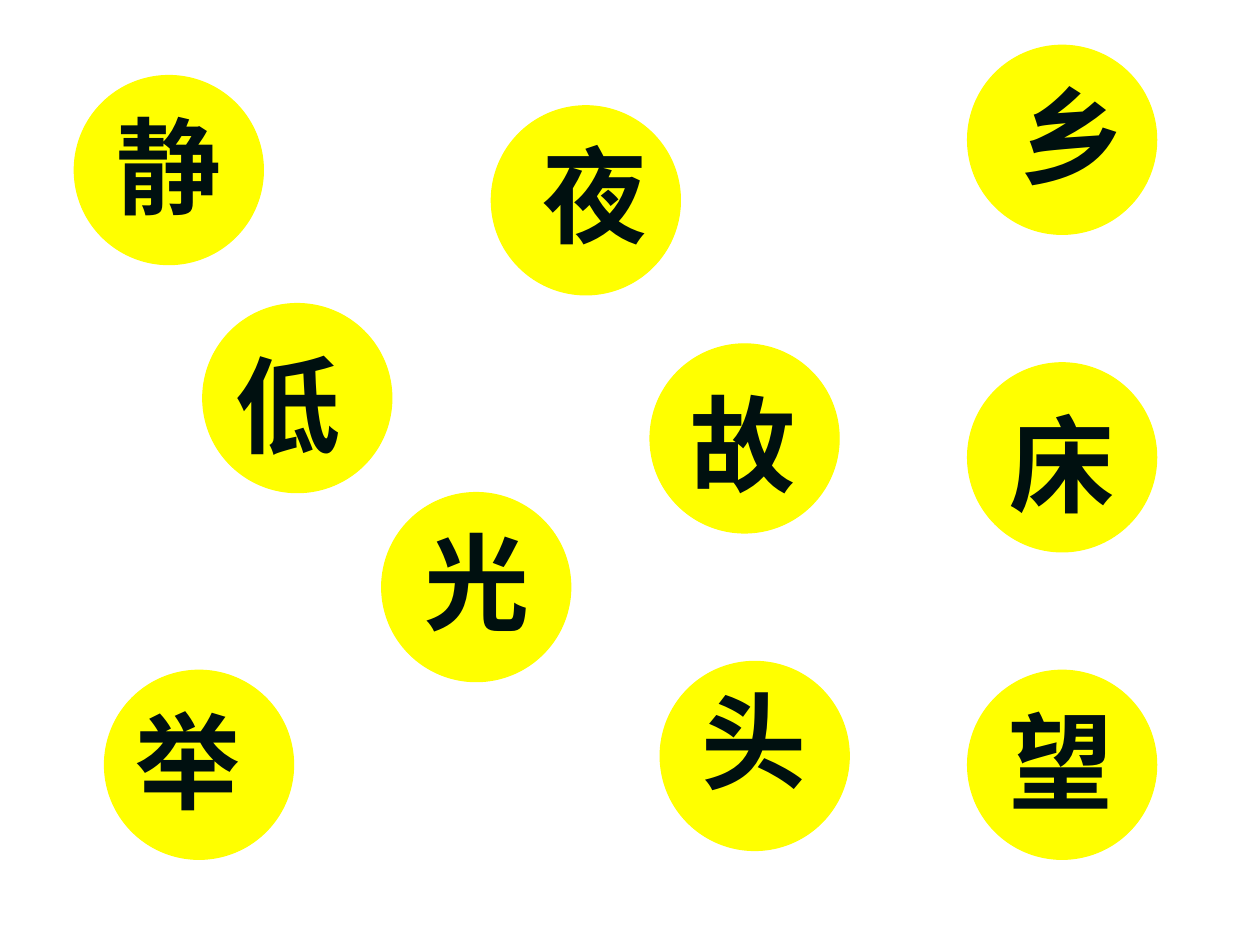
from dataclasses import dataclass

from pptx import Presentation
from pptx.dml.color import RGBColor as RGB
from pptx.enum.shapes import MSO_SHAPE as Shape
from pptx.enum.text import MSO_AUTO_SIZE as AutoSize, PP_ALIGN as Align
from pptx.util import Inches, Pt


@dataclass(frozen=True)
class Theme:
    disc: RGB = RGB(0xFF, 0xFF, 0x00)
    ink: RGB = RGB(0x00, 0x10, 0x10)
    font: str = "Arial"
    size: int = 60
    line: float = 0.75


class Deck:
    """Draws styled elements on the current slide."""

    def __init__(self, slide, theme):
        self.s = slide
        self.theme = theme

    def disc(self, x, y, d=1.5):
        sp = self.s.shapes.add_shape(
            Shape.OVAL, Inches(x), Inches(y), Inches(d), Inches(d))
        sp.shadow.inherit = False
        sp.fill.solid()
        sp.fill.fore_color.rgb = self.theme.disc
        sp.line.color.rgb = self.theme.disc
        sp.line.width = Pt(self.theme.line)

    def character(self, text, x, y, w, h=1.1):
        sp = self.s.shapes.add_textbox(Inches(x), Inches(y), Inches(w), Inches(h))
        tf = sp.text_frame
        tf.word_wrap = True
        tf.auto_size = AutoSize.SHAPE_TO_FIT_TEXT
        tf.text = text
        p = tf.paragraphs[0]
        p.alignment = Align.CENTER
        font = p.runs[0].font
        font.name = self.theme.font
        font.size = Pt(self.theme.size)
        font.bold = True
        font.color.rgb = self.theme.ink


CHARACTERS = [
    ("静", (0.59, 0.6), (0.83, 0.76, 1.02)),
    ("夜", (3.9, 0.84), (4.21, 0.99, 0.87)),
    ("床", (7.68, 2.88), (7.91, 3.12, 0.95)),
    ("光", (3.03, 3.91), (3.27, 4.06, 0.94)),
    ("举", (0.83, 5.32), (0.98, 5.48, 0.94)),
    ("头", (5.24, 5.25), (5.47, 5.32, 1.02)),
    ("望", (7.68, 5.32), (7.91, 5.48, 0.94)),
    ("低", (1.61, 2.41), (1.77, 2.65, 1.02)),
    ("故", (5.16, 2.73), (5.31, 2.96, 1.18)),
    ("乡", (7.68, 0.36), (7.99, 0.52, 0.87)),
]


def main():
    prs = Presentation()
    prs.slide_width, prs.slide_height = Inches(10), Inches(7.5)
    deck = Deck(prs.slides.add_slide(prs.slide_layouts[6]), Theme())
    for text, disc, box in CHARACTERS:
        deck.disc(*disc)
        deck.character(text, *box)
    prs.save("out.pptx")


if __name__ == "__main__":
    main()
